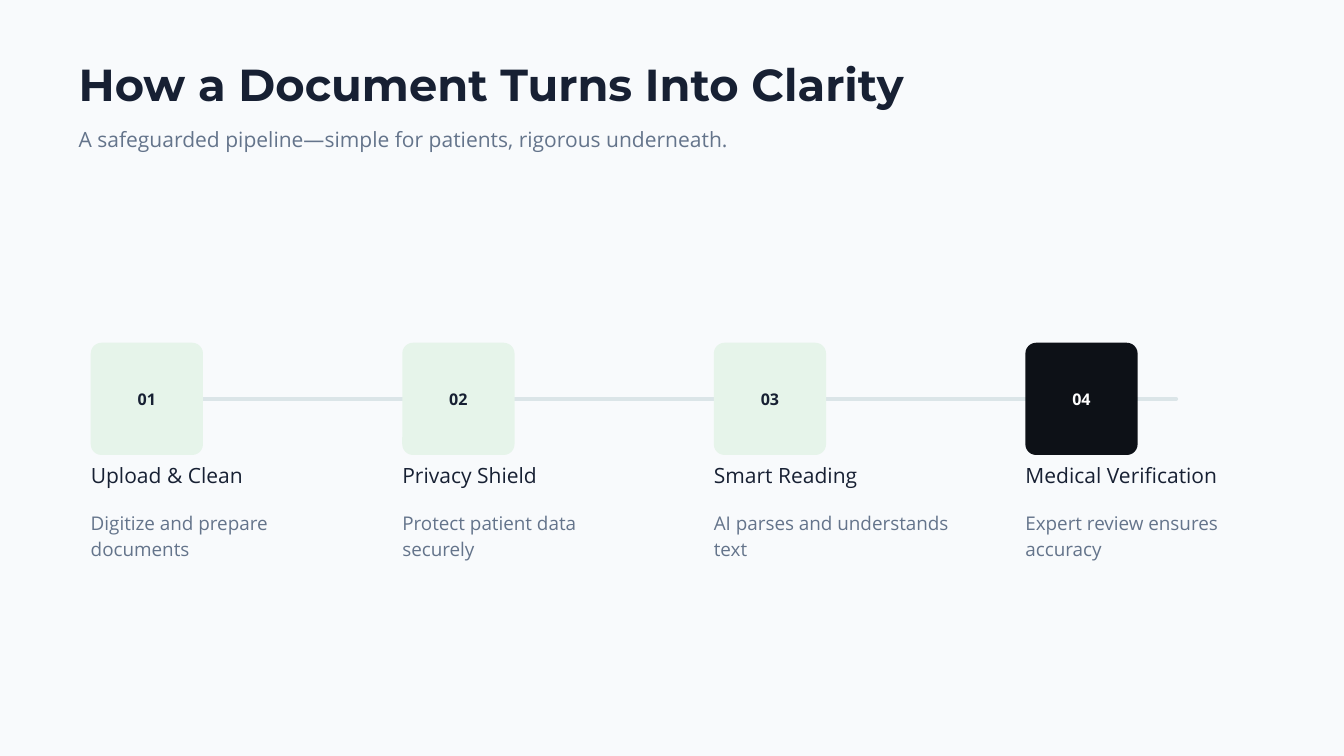
from pptx import Presentation
from pptx.dml.color import RGBColor
from pptx.enum.shapes import MSO_CONNECTOR, MSO_SHAPE
from pptx.enum.text import MSO_ANCHOR, PP_ALIGN
from pptx.oxml.ns import qn
from pptx.util import Pt
from lxml.etree import SubElement

# Content
TITLE = "How a Document Turns Into Clarity"
SUBTITLE = "A safeguarded pipeline—simple for patients, rigorous underneath."
STEPS = [
    ("01", "Upload & Clean", "Digitize and prepare documents"),
    ("02", "Privacy Shield", "Protect patient data securely"),
    ("03", "Smart Reading", "AI parses and understands text"),
    ("04", "Medical Verification", "Expert review ensures accuracy"),
]

# Colours
PAPER, INK, SLATE, RAIL = "F8FAFC", "172033", "64748B", "DBE5E8"
MINT, NIGHT, WHITE = "E6F4EA", "0D1117", "FFFFFF"

# Text styles: font, size, line spacing, bold, colour
STYLES = {
    "title": ("Montserrat", 48, 50.9, True, INK),
    "subtitle": ("Open Sans", 22.5, 30.4, False, SLATE),
    "number": ("Open Sans", 17.2, 19.8, True, INK),
    "heading": ("Open Sans", 22.5, 30.4, False, INK),
    "detail": ("Open Sans", 20.2, 28.4, False, SLATE),
}

# Layout in points
MARGIN = 84.25
STEP_LEFT, STEP_PITCH = 97.25, 333.8
CARD_TOP, CARD_SIZE, CARD_RADIUS = 367.25, 120.25, 11.5
HEADING_TOP, DETAIL_TOP = 492.5, 543.6


def rgb(value):
    return RGBColor.from_string(value)


def write(frame, text, style, color=None, inset=0, **paragraph_format):
    font, size, spacing, bold, default = STYLES[style]
    frame.word_wrap = True
    for side in ("left", "top", "right", "bottom"):
        setattr(frame, f"margin_{side}", Pt(inset))
    paragraph = frame.paragraphs[0]
    paragraph.text = text
    paragraph.line_spacing = Pt(spacing)
    for name, value in paragraph_format.items():
        setattr(paragraph, name, value)
    for name, value in {"name": font, "size": Pt(size), "bold": bold}.items():
        setattr(paragraph.font, name, value)
    paragraph.font.color.rgb = rgb(color or default)


def add_text(slide, left, top, width, height, text, style):
    box = slide.shapes.add_textbox(Pt(left), Pt(top), Pt(width), Pt(height))
    write(box.text_frame, text, style)


def add_rail(slide, start, end, y):
    rail = slide.shapes.add_connector(
        MSO_CONNECTOR.STRAIGHT, Pt(start), Pt(y), Pt(end), Pt(y))
    rail.line.color.rgb = rgb(RAIL)
    rail.line.width = Pt(4.5)
    rail.line._get_or_add_ln().set("cap", "rnd")
    SubElement(rail._element.spPr, qn("a:effectLst"))


def add_card(slide, left, number, fill, color):
    card = slide.shapes.add_shape(
        MSO_SHAPE.ROUNDED_RECTANGLE,
        Pt(left), Pt(CARD_TOP), Pt(CARD_SIZE), Pt(CARD_SIZE))
    card.adjustments[0] = CARD_RADIUS / CARD_SIZE
    card.shadow.inherit = False
    card.fill.solid()
    card.fill.fore_color.rgb = rgb(fill)
    card.line.fill.background()
    write(card.text_frame, number, "number", color, inset=4.3,
          alignment=PP_ALIGN.CENTER)
    card.text_frame.vertical_anchor = MSO_ANCHOR.MIDDLE
    card.text_frame.margin_top = Pt(5.7)


def main():
    deck = Presentation()
    deck.slide_width, deck.slide_height = Pt(1440), Pt(810)
    slide = deck.slides.add_slide(deck.slide_layouts[6])
    slide.background.fill.solid()
    slide.background.fill.fore_color.rgb = rgb(PAPER)

    # Header
    add_text(slide, MARGIN, 67.5, 1125, 51, TITLE, "title")
    add_text(slide, MARGIN, 132.5, 825, 29, SUBTITLE, "subtitle")

    # Pipeline: rail behind the cards, the last step stands out
    add_rail(slide, 180, 1260, CARD_TOP + CARD_SIZE / 2)
    for index, (number, heading, detail) in enumerate(STEPS):
        left = STEP_LEFT + index * STEP_PITCH
        last = index == len(STEPS) - 1
        add_card(slide, left, number, *((NIGHT, WHITE) if last else (MINT, INK)))
        add_text(slide, left, HEADING_TOP, 270, 29, heading, "heading")
        add_text(slide, left, DETAIL_TOP, 263, 55.5, detail, "detail")

    deck.save("out.pptx")


if __name__ == "__main__":
    main()
